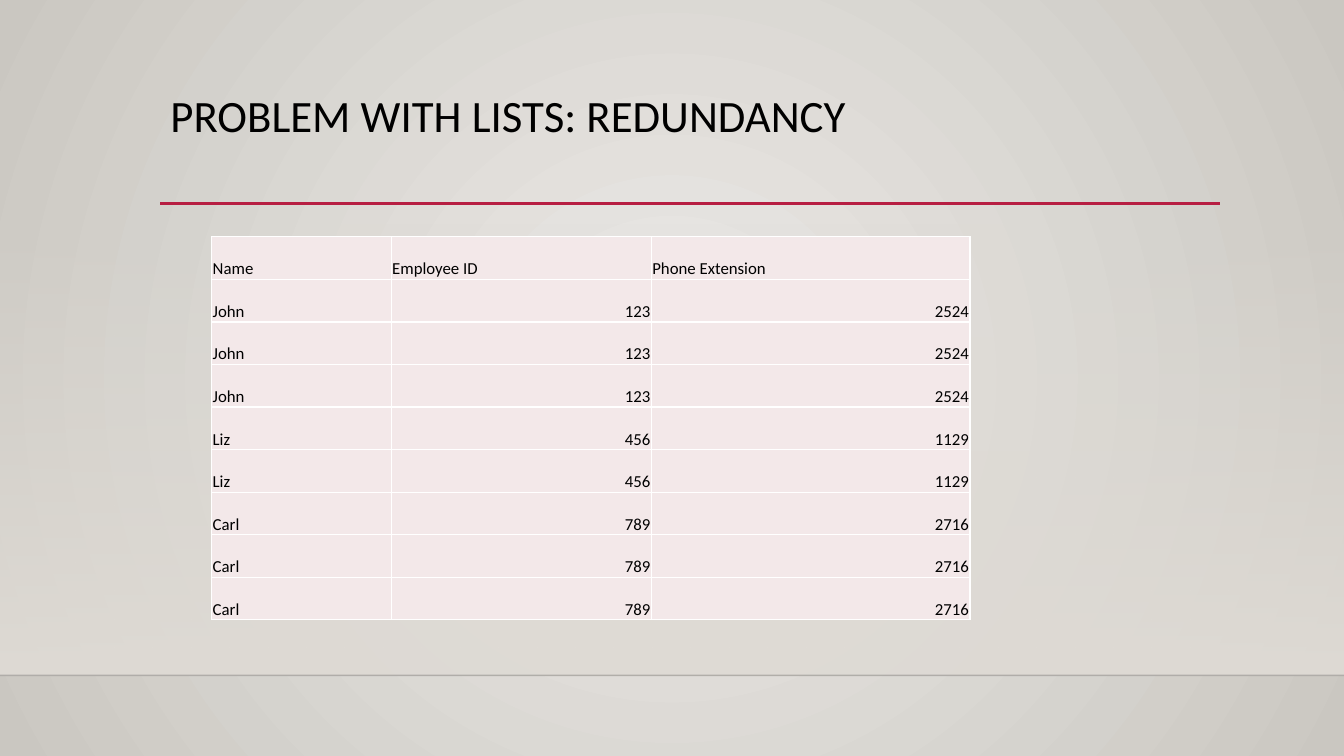
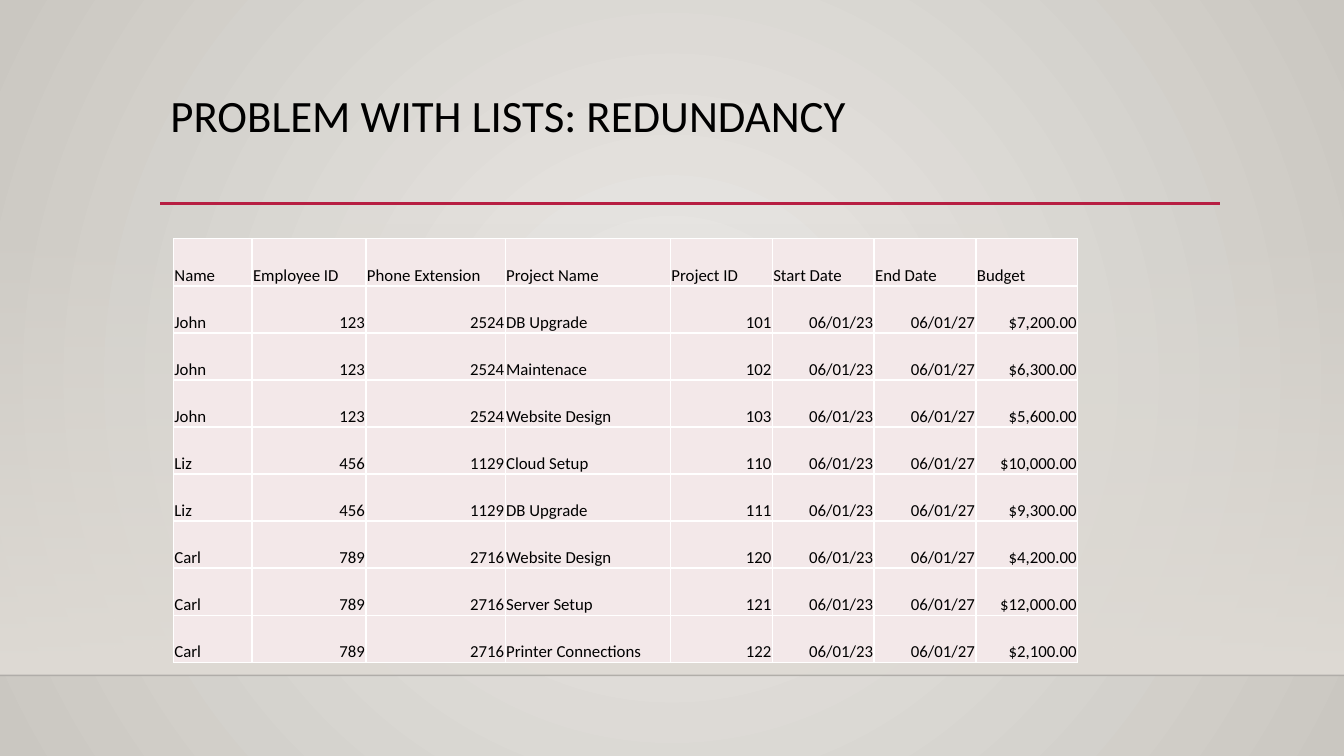
from dataclasses import dataclass

from lxml import etree
from pptx import Presentation
from pptx.dml.color import RGBColor
from pptx.enum.shapes import MSO_CONNECTOR, MSO_SHAPE
from pptx.enum.text import MSO_ANCHOR, PP_ALIGN
from pptx.oxml.ns import qn
from pptx.util import Inches, Pt


@dataclass(frozen=True)
class Theme:
    font: str = "Calibri"
    title_size: int = 32
    table_size: int = 12
    text: str = "000000"
    accent: str = "B71E42"
    edge: str = "000001"
    glow: str = "ECEAE7"
    shade: str = "CAC7C1"
    band: str = "DFDBD5"
    cell: str = "F3E8E9"
    border: str = "FFFFFF"


theme = Theme()


def set_gradient(owner, stops, direction, **attributes):
    """Replace the first empty fill under owner; stops are (position, colour, alpha)."""
    empty_fill = next(owner.iter(qn("a:noFill")))
    gradient = etree.Element(qn("a:gradFill"), rotWithShape="1")
    stop_list = etree.SubElement(gradient, qn("a:gsLst"))
    for position, colour, alpha in stops:
        stop = etree.SubElement(stop_list, qn("a:gs"), pos=str(position * 1000))
        colour_element = etree.SubElement(stop, qn("a:srgbClr"), val=colour)
        etree.SubElement(colour_element, qn("a:alpha"), val=str(alpha * 1000))
    shading = etree.SubElement(gradient, qn(direction), **attributes)
    if direction == "a:path":
        sides = dict.fromkeys("ltrb", "50000")
        etree.SubElement(shading, qn("a:fillToRect"), **sides)
    empty_fill.getparent().replace(empty_fill, gradient)


def style_text(paragraph, size):
    paragraph.font.name = theme.font
    paragraph.font.size = Pt(size)
    paragraph.font.color.rgb = RGBColor.from_string(theme.text)


presentation = Presentation()
presentation.slide_width = Inches(13.33)
presentation.slide_height = Inches(7.5)
layout = presentation.slide_layouts.get_by_name("Title Only")
slides = [presentation.slides.add_slide(layout) for _ in range(2)]

# Shared background and title place
layout.background.fill.background()
set_gradient(layout.element, [(0, theme.glow, 100), (100, theme.shade, 100)],
             "a:path", path="circle")
layout_title = layout.placeholders[0]
layout_title.left, layout_title.top = Inches(1.59), Inches(0.88)
layout_title.width, layout_title.height = Inches(10.5), Inches(1.15)

# Shared band and rules, drawn on a slide and then moved to the layout
shapes = slides[0].shapes
band = shapes.add_shape(MSO_SHAPE.RECTANGLE, 0, Inches(2.21),
                        presentation.slide_width, Inches(4.49))
band.shadow.inherit = False
band.fill.background()
set_gradient(band.element, [(0, theme.band, 0), (100, theme.band, 100)],
             "a:lin", ang="5400000", scaled="0")
band.line.fill.background()
decorations = [band]
for left, right, top, colour, weight, alpha in [
    (0, 13.33, 6.7, theme.edge, 1, 20),
    (1.59, 12.1, 2.02, theme.accent, 2.5, 100),
]:
    rule = shapes.add_connector(MSO_CONNECTOR.STRAIGHT, Inches(left), Inches(top),
                                Inches(right), Inches(top))
    rule.line.color.rgb = RGBColor.from_string(colour)
    rule.line.width = Pt(weight)
    rule_colour = next(rule.element.spPr.iter(qn("a:srgbClr")))
    etree.SubElement(rule_colour, qn("a:alpha"), val=str(alpha * 1000))
    etree.SubElement(rule.element.spPr, qn("a:effectLst"))
    decorations.append(rule)
for index, decoration in enumerate(decorations, start=2):
    layout.shapes.element.insert(index, decoration.element)

# Table contents: the first slide shows only the employee columns
headers = ["Name", "Employee ID", "Phone Extension", "Project Name",
           "Project ID", "Start Date", "End Date", "Budget"]
text_columns = {"Name", "Project Name"}
employees = {"John": ("123", "2524"), "Liz": ("456", "1129"), "Carl": ("789", "2716")}
projects = [
    ("John", "DB Upgrade", "101", "$7,200.00"),
    ("John", "Maintenace", "102", "$6,300.00"),
    ("John", "Website Design", "103", "$5,600.00"),
    ("Liz", "Cloud Setup", "110", "$10,000.00"),
    ("Liz", "DB Upgrade", "111", "$9,300.00"),
    ("Carl", "Website Design", "120", "$4,200.00"),
    ("Carl", "Server Setup", "121", "$12,000.00"),
    ("Carl", "Printer Connections", "122", "$2,100.00"),
]
rows = [headers] + [
    [name, *employees[name], project, number, "06/01/23", "06/01/27", budget]
    for name, project, number, budget in projects
]
table_places = [
    (2.1, 2.35, 3.8, [1.78, 2.58, 3.16]),
    (1.72, 2.37, 4.2, [0.78, 1.13, 1.38, 1.64] + [1.01] * 4),
]

# Slides
for slide, (left, top, height, widths) in zip(slides, table_places):
    title = slide.shapes.title
    title.text_frame.text = "PROBLEM WITH LISTS: REDUNDANCY"
    title.text_frame.vertical_anchor = MSO_ANCHOR.TOP
    paragraph = title.text_frame.paragraphs[0]
    paragraph.alignment = PP_ALIGN.LEFT
    paragraph.line_spacing = 0.9
    style_text(paragraph, theme.title_size)

    table = slide.shapes.add_table(len(rows), len(widths), Inches(left), Inches(top),
                                   Inches(sum(widths)), Inches(height)).table
    table.first_row = table.horz_banding = False
    for column, width in zip(table.columns, widths):
        column.width = Inches(width)

    for row_index, row in enumerate(rows):
        for column_index, value in enumerate(row[:len(widths)]):
            cell = table.cell(row_index, column_index)
            cell.text = value
            cell.vertical_anchor = MSO_ANCHOR.BOTTOM
            cell.margin_left = cell.margin_right = cell.margin_top = Inches(0.01)
            cell.margin_bottom = 0
            paragraph = cell.text_frame.paragraphs[0]
            if row_index and headers[column_index] not in text_columns:
                paragraph.alignment = PP_ALIGN.RIGHT
            style_text(paragraph, theme.table_size)

            # Borders come before the fill in the cell properties
            properties = cell._tc.get_or_add_tcPr()
            for side in ("a:lnL", "a:lnR", "a:lnT", "a:lnB"):
                border = etree.SubElement(properties, qn(side), w=str(Pt(1)))
                fill = etree.SubElement(border, qn("a:solidFill"))
                etree.SubElement(fill, qn("a:srgbClr"), val=theme.border)
            cell.fill.solid()
            cell.fill.fore_color.rgb = RGBColor.from_string(theme.cell)

presentation.save("out.pptx")
